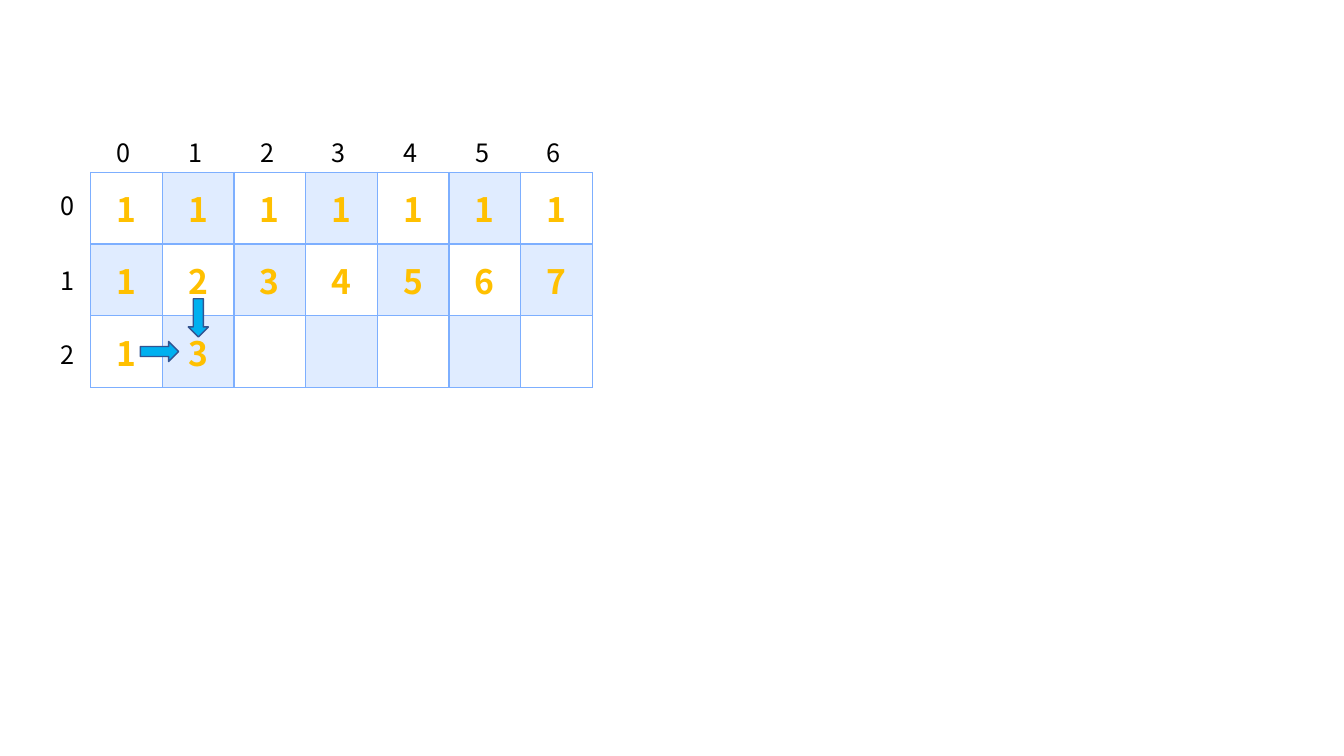
from lxml.etree import SubElement
from pptx import Presentation
from pptx.dml.color import RGBColor
from pptx.enum.shapes import MSO_SHAPE
from pptx.enum.text import MSO_ANCHOR, MSO_AUTO_SIZE, PP_ALIGN
from pptx.oxml.ns import qn
from pptx.util import Inches, Pt

FONT = "Noto Sans CJK SC"
WHITE = RGBColor(0xFF, 0xFF, 0xFF)
PALE_BLUE = RGBColor(0xE0, 0xEC, 0xFF)
BORDER_BLUE = RGBColor(0x7D, 0xAF, 0xFF)
GOLD = RGBColor(0xFF, 0xC0, 0x00)
BLACK = RGBColor(0x00, 0x00, 0x00)
ARROW_BLUE = RGBColor(0x00, 0xB0, 0xF0)
ARROW_LINE = RGBColor(0x32, 0x54, 0x91)

PATH_COUNTS = [
    ["1", "1", "1", "1", "1", "1", "1"],
    ["1", "2", "3", "4", "5", "6", "7"],
    ["1", "3", "", "", "", "", ""],
]
ROWS, COLUMNS = len(PATH_COUNTS), len(PATH_COUNTS[0])
GRID_LEFT, GRID_TOP, CELL = 0.9, 1.71, 0.711


def style_font(paragraph, size, color, bold=False):
    font = paragraph.font
    font.name, font.size, font.bold = FONT, Pt(size), bold
    font.color.rgb = color


def set_borders(cell):
    properties = cell._tc.get_or_add_tcPr()
    for index, side in enumerate(("lnL", "lnR", "lnT", "lnB")):
        line = SubElement(properties, qn(f"a:{side}"), w=str(Pt(1)))
        fill = SubElement(line, qn("a:solidFill"))
        SubElement(fill, qn("a:srgbClr"), val=str(BORDER_BLUE))
        properties.insert(index, line)


def add_count_table(slide, left, top, cell_size):
    """Checkered table of path counts."""
    frame = slide.shapes.add_table(
        ROWS, COLUMNS, Inches(left), Inches(top),
        Inches(cell_size * COLUMNS), Inches(cell_size * ROWS))
    table = frame.table
    table.first_row = table.horz_banding = False
    for column in table.columns:
        column.width = Inches(cell_size)
    for row_index, counts in enumerate(PATH_COUNTS):
        table.rows[row_index].height = Inches(cell_size)
        for column_index, count in enumerate(counts):
            cell = table.cell(row_index, column_index)
            cell.fill.solid()
            shaded = (row_index + column_index) % 2
            cell.fill.fore_color.rgb = PALE_BLUE if shaded else WHITE
            cell.margin_left = cell.margin_right = Inches(0.06)
            cell.margin_top = cell.margin_bottom = Inches(0.03)
            cell.vertical_anchor = MSO_ANCHOR.MIDDLE
            set_borders(cell)
            paragraph = cell.text_frame.paragraphs[0]
            paragraph.text = count
            paragraph.alignment = PP_ALIGN.CENTER
            style_font(paragraph, 24, GOLD, bold=True)


def add_index_label(slide, left, top, index):
    label = slide.shapes.add_textbox(
        Inches(left), Inches(top), Inches(0.33), Inches(0.4))
    text_frame = label.text_frame
    text_frame.word_wrap = False
    text_frame.auto_size = MSO_AUTO_SIZE.SHAPE_TO_FIT_TEXT
    paragraph = text_frame.paragraphs[0]
    paragraph.text = str(index)
    style_font(paragraph, 18, BLACK)


def add_index_labels(slide, left, top, cell_size):
    """Column numbers above the table and row numbers beside it."""
    for column in range(COLUMNS):
        add_index_label(slide, left + 0.16 + column * cell_size, top - 0.4, column)
    for row in range(ROWS):
        add_index_label(slide, left - 0.4, top + 0.13 + row * 0.74, row)


def add_step_arrows(slide, left, top, cell_size):
    """Arrows into the cell in row 2, column 1, from its left and from above."""
    group = slide.shapes.add_group_shape()
    width, height = 0.38, 0.2
    centers = [
        (left + 0.96 * cell_size, top + 2.5 * cell_size, 0),
        (left + 1.5 * cell_size, top + 2.03 * cell_size, 90),
    ]
    for center_x, center_y, rotation in centers:
        arrow = group.shapes.add_shape(
            MSO_SHAPE.RIGHT_ARROW, Inches(center_x - width / 2),
            Inches(center_y - height / 2), Inches(width), Inches(height))
        arrow.rotation = rotation
        arrow.shadow.inherit = False
        arrow.fill.solid()
        arrow.fill.fore_color.rgb = ARROW_BLUE
        arrow.line.color.rgb = ARROW_LINE
        arrow.line.width = Pt(1)


def main():
    presentation = Presentation()
    presentation.slide_width, presentation.slide_height = Inches(13.33), Inches(7.5)
    slide = presentation.slides.add_slide(presentation.slide_layouts[6])
    for add_region in (add_count_table, add_index_labels, add_step_arrows):
        add_region(slide, GRID_LEFT, GRID_TOP, CELL)
    presentation.save("out.pptx")


if __name__ == "__main__":
    main()
